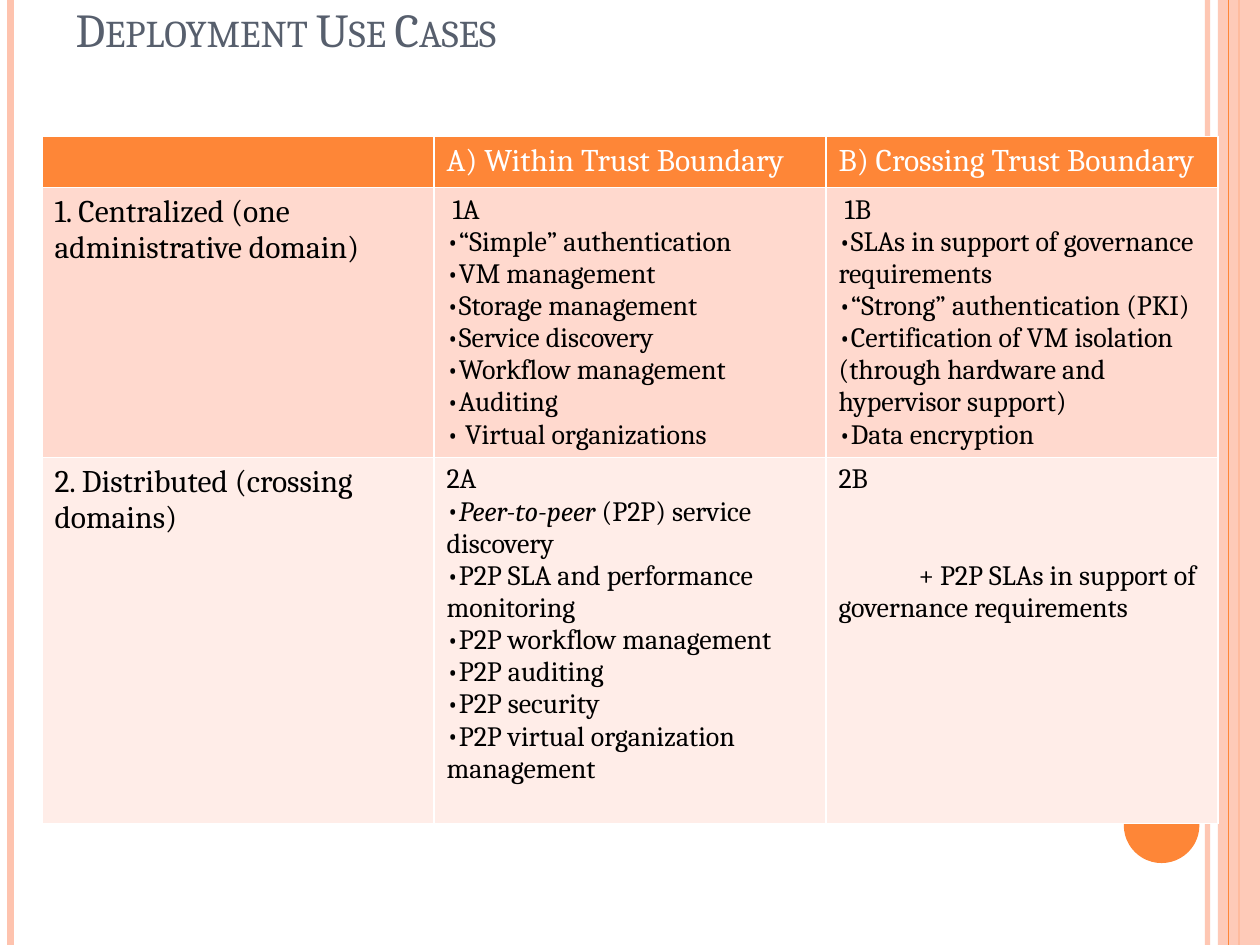
from lxml.etree import SubElement
from pptx import Presentation
from pptx.dml.color import RGBColor
from pptx.enum.shapes import MSO_CONNECTOR, MSO_SHAPE
from pptx.enum.text import MSO_ANCHOR, MSO_AUTO_SIZE, PP_ALIGN
from pptx.oxml.ns import qn
from pptx.util import Pt

FONT = "Cambria"
COLORS = {
    "orange": "FE8637", "peach": "FEC3AE", "slate": "575F6D",
    "white": "FFFFFF", "black": "000000",
    "row_dark": "FFD9CE", "row_light": "FFEDE8",
}
BULLET = "•"

# Each cell is a list of paragraphs; a leading bullet marks a list item
HEADER = [[], ["A) Within Trust Boundary"], ["B) Crossing Trust Boundary"]]
CENTRALIZED = [
    ["1. Centralized (one administrative domain)"],
    [" 1A", "•“Simple” authentication", "•VM management", "•Storage management",
     "•Service discovery", "•Workflow management", "•Auditing",
     "• Virtual organizations"],
    [" 1B", "•SLAs in support of governance requirements",
     "•“Strong” authentication (PKI)",
     "•Certification of VM isolation (through hardware and hypervisor support)",
     "•Data encryption"],
]
DISTRIBUTED = [
    ["2. Distributed (crossing domains)"],
    ["2A", "•Peer-to-peer (P2P) service discovery",
     "•P2P SLA and performance monitoring", "•P2P workflow management",
     "•P2P auditing", "•P2P security", "•P2P virtual organization management"],
    ["2B", "+ P2P SLAs in support of governance requirements"],
]
ITALIC_TERM = "Peer-to-peer"

# Content, height, fill, text colour
ROWS = [
    (HEADER, 29.2, "orange", "white"),
    (CENTRALIZED, 154, "row_dark", "black"),
    (DISTRIBUTED, 209.2, "row_light", "black"),
]


def rgb(name):
    return RGBColor.from_string(COLORS[name])


def set_opacity(properties, percent):
    color = properties.find(".//" + qn("a:srgbClr"))
    SubElement(color, qn("a:alpha"), val=str(percent * 1000))


def style_font(font, size, color):
    font.name = FONT
    font.size = Pt(size)
    font.color.rgb = rgb(color)


def add_rule(slide, x, color, width, opacity=100):
    """Vertical line over the full slide height."""
    line = slide.shapes.add_connector(
        MSO_CONNECTOR.STRAIGHT, Pt(x), Pt(0), Pt(x), Pt(540))
    line.line.color.rgb = rgb(color)
    line.line.width = Pt(width)
    properties = line._element.spPr
    if opacity < 100:
        set_opacity(properties, opacity)
    SubElement(properties, qn("a:effectLst"))


def add_plain_shape(slide, kind, left, top, width, height, color, opacity=100):
    shape = slide.shapes.add_shape(kind, Pt(left), Pt(top), Pt(width), Pt(height))
    shape.shadow.inherit = False
    shape.fill.solid()
    shape.fill.fore_color.rgb = rgb(color)
    shape.line.fill.background()
    if opacity < 100:
        set_opacity(shape._element.spPr, opacity)


def add_decoration(slide):
    add_rule(slide, 690, "peach", 3, 93)
    add_rule(slide, 6, "peach", 4.5)
    add_rule(slide, 708, "orange", 1.5)
    add_plain_shape(slide, MSO_SHAPE.RECTANGLE, 696, 0, 24, 540, "peach", 87)
    add_rule(slide, 702, "orange", 0.75)
    add_plain_shape(slide, MSO_SHAPE.OVAL, 642.2, 450, 43.2, 43.2, "orange")


def set_title(slide, text):
    title = slide.shapes.title
    title.left, title.top, title.width, title.height = Pt(36), Pt(0), Pt(648), Pt(36)
    frame = title.text_frame
    frame.text = text
    frame.auto_size = MSO_AUTO_SIZE.NONE
    frame.vertical_anchor = MSO_ANCHOR.BOTTOM
    paragraph = frame.paragraphs[0]
    paragraph.alignment = PP_ALIGN.LEFT
    style_font(paragraph.font, 27, "slate")
    paragraph.font._element.set("cap", "small")


def set_borders(cell):
    properties = cell._tc.get_or_add_tcPr()
    for position, tag in enumerate(("a:lnL", "a:lnR", "a:lnT", "a:lnB")):
        border = SubElement(properties, qn(tag), w=str(Pt(1)))
        fill = SubElement(border, qn("a:solidFill"))
        SubElement(fill, qn("a:srgbClr"), val=COLORS["white"])
        properties.insert(position, border)  # borders come before the fill


def add_bullet(paragraph):
    properties = paragraph._p.get_or_add_pPr()
    bullet_font = SubElement(properties, qn("a:buFont"), typeface=FONT)
    bullet = SubElement(properties, qn("a:buChar"), char=BULLET)
    properties.insert(0, bullet_font)  # bullet comes before the text font
    properties.insert(1, bullet)


def write_paragraph(paragraph, text, size, color):
    style_font(paragraph.font, size, color)
    if text.startswith(BULLET):
        text = text[len(BULLET):]
        add_bullet(paragraph)
    if text.startswith(ITALIC_TERM):
        term = paragraph.add_run()
        term.text = ITALIC_TERM
        term.font.italic = True
        text = text[len(ITALIC_TERM):]
    paragraph.add_run().text = text


def fill_cell(cell, lines, size, fill, color):
    cell.fill.solid()
    cell.fill.fore_color.rgb = rgb(fill)
    set_borders(cell)
    frame = cell.text_frame
    for index, text in enumerate(lines):
        paragraph = frame.add_paragraph() if index else frame.paragraphs[0]
        write_paragraph(paragraph, text, size, color)


def add_use_case_table(slide):
    table = slide.shapes.add_table(
        len(ROWS), 3, Pt(24), Pt(78), Pt(672), Pt(392.4)).table
    table.first_row = False
    table.horz_banding = False
    for column in table.columns:
        column.width = Pt(224)
    for row_index, (cells, height, fill, color) in enumerate(ROWS):
        table.rows[row_index].height = Pt(height)
        for column_index, lines in enumerate(cells):
            size = 18 if row_index == 0 or column_index == 0 else 16
            fill_cell(table.cell(row_index, column_index), lines, size, fill, color)

    # The 2B addition stands two lines lower, with its first line indented
    addition = table.cell(2, 2).text_frame.paragraphs[1]
    addition.space_before = Pt(36.7)
    addition._p.get_or_add_pPr().set("indent", str(Pt(45.7)))


def main():
    presentation = Presentation()
    presentation.slide_width, presentation.slide_height = Pt(720), Pt(540)
    slide = presentation.slides.add_slide(presentation.slide_layouts[5])
    add_decoration(slide)
    set_title(slide, "Deployment Use Cases")
    add_use_case_table(slide)
    presentation.save("out.pptx")


if __name__ == "__main__":
    main()
